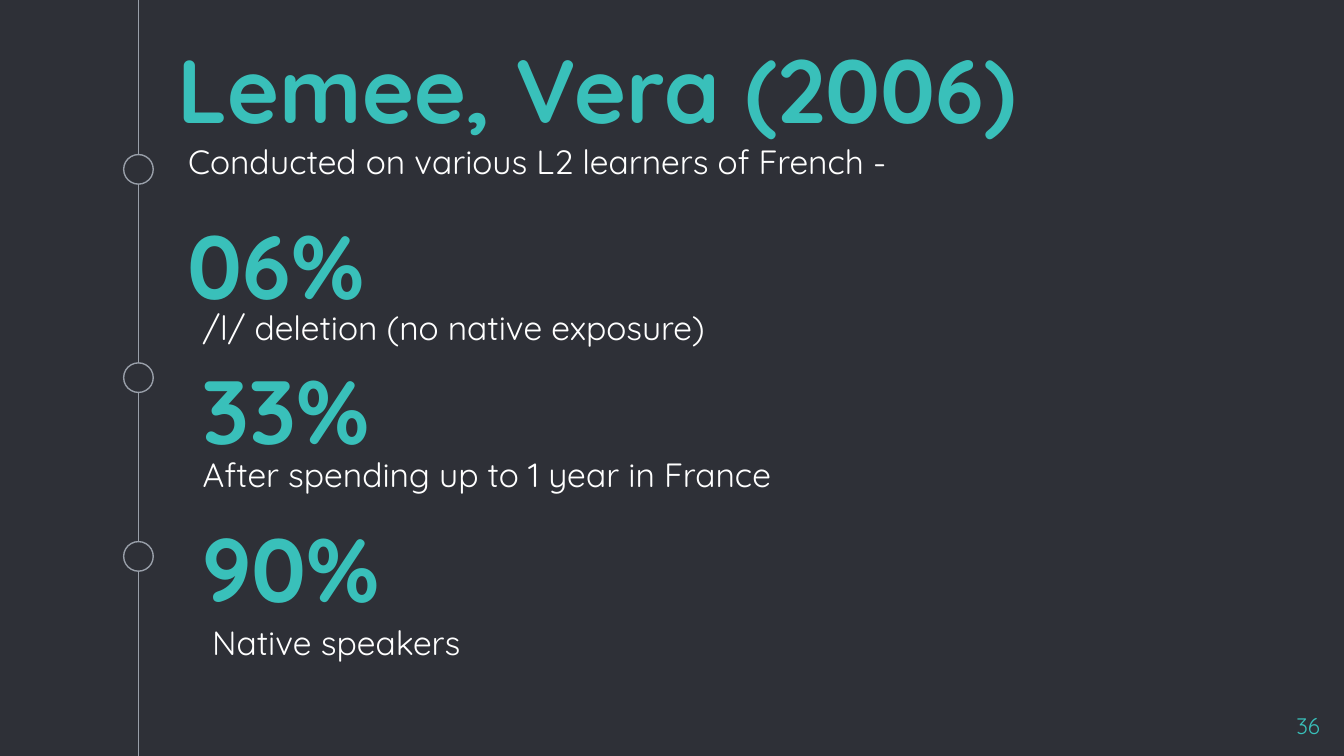
from lxml.etree import SubElement
from pptx import Presentation
from pptx.dml.color import RGBColor
from pptx.enum.shapes import MSO_CONNECTOR, MSO_SHAPE
from pptx.enum.text import MSO_ANCHOR, MSO_AUTO_SIZE, PP_ALIGN
from pptx.oxml.ns import qn
from pptx.util import Inches, Pt

COLORS = {"background": "2E3037", "line": "999FA9", "accent": "39C0BA", "text": "FFFFFF"}
FONT = "Quicksand"
PAGE_WIDTH = 10
PAGE_HEIGHT = PAGE_WIDTH * 9 / 16


def color(name):
    return RGBColor.from_string(COLORS[name])


def place(shape, box):
    shape.left, shape.top, shape.width, shape.height = map(Inches, box)


def write(shape, text, size, color_name, bold=False, anchor=MSO_ANCHOR.TOP,
          align=PP_ALIGN.LEFT, space_before=0, inset=0.1):
    frame = shape.text_frame
    frame.text = text
    frame.word_wrap = True
    frame.auto_size = MSO_AUTO_SIZE.NONE
    frame.vertical_anchor = anchor
    frame.margin_left = frame.margin_right = Inches(0.1)
    frame.margin_top = frame.margin_bottom = Inches(inset)
    para = frame.paragraphs[0]
    para.alignment = align
    para.space_before = Pt(space_before)
    font = para.runs[0].font
    font.name, font.size, font.bold = FONT, Pt(size), bold
    font.color.rgb = color(color_name)


def add_text_box(page, box):
    return page.shapes.add_textbox(*map(Inches, box))


def add_timeline(page, center, dot_tops, diameter=0.22):
    """Draw a full-height line with a ring at each given top."""
    line = page.shapes.add_connector(
        MSO_CONNECTOR.STRAIGHT, Inches(center), 0, Inches(center), Inches(PAGE_HEIGHT))
    line.line.color.rgb = color("line")
    line.line.width = Pt(0.75)
    SubElement(line._element.spPr, qn("a:effectLst"))
    for top in dot_tops:
        dot = page.shapes.add_shape(
            MSO_SHAPE.OVAL, Inches(center - diameter / 2), Inches(top),
            Inches(diameter), Inches(diameter))
        dot.shadow.inherit = False
        dot.fill.solid()
        dot.fill.fore_color.rgb = color("background")
        dot.line.color.rgb = color("line")
        dot.line.width = Pt(0.75)


def add_heading(page, left, top, width):
    """Fill the title and subtitle placeholders."""
    title, subtitle = page.shapes.title, page.placeholders[1]
    place(title, (left, top, width, 0.98))
    write(title, "Lemee, Vera (2006)", 48, "accent", bold=True, anchor=MSO_ANCHOR.BOTTOM)
    place(subtitle, (left + 0.08, top + 0.78, width, 0.51))
    write(subtitle, "Conducted on various L2 learners of French -", 18, "text", space_before=6)


def add_finding(page, figure_box, figure, caption_box, caption):
    """Place a large percentage and the caption below it."""
    write(add_text_box(page, figure_box), figure, 48, "accent", bold=True,
          anchor=MSO_ANCHOR.BOTTOM)
    write(add_text_box(page, caption_box), caption, 18, "text", space_before=6)


def add_native_finding(page, left, top, width):
    """Place the closing figure, set in plain text boxes."""
    write(add_text_box(page, (left, top, width, 0.91)), "90%", 48, "accent",
          bold=True, inset=0.05)
    write(add_text_box(page, (left + 0.07, top + 0.81, width, 0.4)), "Native speakers",
          18, "text", inset=0.05)


def main():
    deck = Presentation()
    deck.slide_width, deck.slide_height = Inches(PAGE_WIDTH), Inches(PAGE_HEIGHT)
    page = deck.slides.add_slide(deck.slide_layouts[0])
    page.background.fill.solid()
    page.background.fill.fore_color.rgb = color("background")

    # Timeline and heading
    add_timeline(page, 1.03, (1.15, 2.7, 4.03))
    add_heading(page, 1.22, 0.17, 7.76)

    # Findings
    add_finding(page, (1.3, 1.48, 7.76, 0.98), "06%",
                (1.41, 2.18, 7.76, 0.51), "/l/ deletion (no native exposure)")
    add_finding(page, (1.41, 2.56, 7.76, 0.98), "33%",
                (1.41, 3.28, 7.76, 0.51), "After spending up to 1 year in France")
    add_native_finding(page, 1.41, 3.77, 5)

    # Page number
    write(add_text_box(page, (9.32, 5.2, 0.6, 0.34)), "36", 12, "accent",
          align=PP_ALIGN.RIGHT)

    deck.save("out.pptx")


if __name__ == "__main__":
    main()
